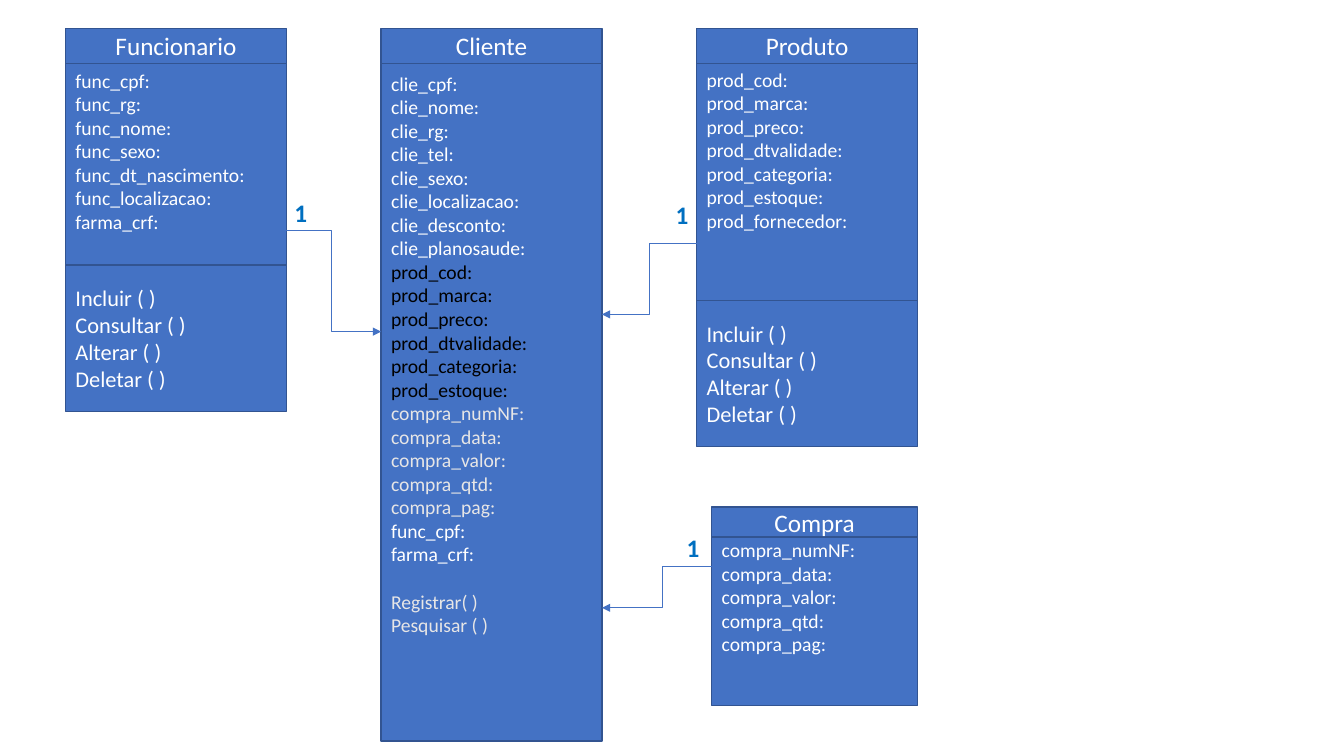
from dataclasses import dataclass

from lxml import etree
from pptx import Presentation
from pptx.dml.color import RGBColor
from pptx.enum.shapes import MSO_CONNECTOR, MSO_SHAPE
from pptx.enum.text import MSO_ANCHOR, PP_ALIGN
from pptx.oxml.ns import qn
from pptx.util import Inches, Pt

RECTANGLE, ELBOW = MSO_SHAPE.RECTANGLE, MSO_CONNECTOR.ELBOW
TOP, MIDDLE = MSO_ANCHOR.TOP, MSO_ANCHOR.MIDDLE
LEFT, CENTER = PP_ALIGN.LEFT, PP_ALIGN.CENTER

BLUE = RGBColor(0x44, 0x72, 0xC4)
BORDER = RGBColor(0x32, 0x54, 0x91)
LABEL_BLUE = RGBColor(0x00, 0x6F, 0xC0)
WHITE = RGBColor(0xFF, 0xFF, 0xFF)
BLACK = RGBColor(0, 0, 0)
GRAY = RGBColor(0xE7, 0xE6, 0xE6)

# Grid in inches: three equal columns, boxes hanging from a common top row
FONT = "Calibri"
COLUMN_LEFT, COLUMN_STEP, COLUMN_WIDTH = 0.65, 3.13, 2.19
TOP_ROW, HEADER_HEIGHT, METHODS_HEIGHT = 0.28, 0.35, 1.45
COMPRA_WIDTH = 2.04
LINE_HEIGHT = 17.1  # points, one line of 14 pt text


def column(index: int) -> float:
    return COLUMN_LEFT + index * COLUMN_STEP


def right_edge(index: int) -> float:
    return column(index) + COLUMN_WIDTH


COMPRA_LEFT = right_edge(2) - COMPRA_WIDTH


@dataclass(frozen=True)
class Group:
    """Lines of one colour, with an optional gap above."""
    lines: tuple[str, ...]
    color: RGBColor = WHITE
    gap: float = 0


@dataclass(frozen=True)
class ClassBox:
    name: str
    left: float
    fields_height: float
    fields_inset: float
    fields: tuple[Group, ...]
    methods: tuple[Group, ...] = ()
    top: float = TOP_ROW
    width: float = COLUMN_WIDTH
    header_height: float = HEADER_HEIGHT


@dataclass(frozen=True)
class Relation:
    start: tuple[float, float]
    end: tuple[float, float]
    label: tuple[float, float]
    bend: float = 0.5


FUNC = ("func_cpf:", "func_rg:", "func_nome:", "func_sexo:",
        "func_dt_nascimento:", "func_localizacao:", "farma_crf:")
CLIE = ("clie_cpf:", "clie_nome:", "clie_rg:", "clie_tel:", "clie_sexo:",
        "clie_localizacao:", "clie_desconto:", "clie_planosaude:")
PROD = ("prod_cod:", "prod_marca:", "prod_preco:", "prod_dtvalidade:",
        "prod_categoria:", "prod_estoque:")
COMPRA = ("compra_numNF:", "compra_data:", "compra_valor:",
          "compra_qtd:", "compra_pag:")
CRUD = (Group(("Incluir ( )", "Consultar ( )", "Alterar ( )", "Deletar ( )")),)

CLASSES = (
    ClassBox("Funcionario", column(0), 2.0, 0.05, (Group(FUNC),), CRUD),
    ClassBox("Cliente", column(1), 6.72, 0.08, (
        Group(CLIE),
        Group(PROD, BLACK),
        Group(COMPRA, GRAY),
        Group(("func_cpf:", "farma_crf:")),
        Group(("Registrar( )", "Pesquisar ( )"), GRAY, LINE_HEIGHT),
    )),
    ClassBox("Produto", column(2), 2.35, 0.04,
             (Group(PROD + ("prod_fornecedor:",)),), CRUD),
    ClassBox("Compra", COMPRA_LEFT, 1.67, 0.01, (Group(COMPRA),),
             top=5.03, width=COMPRA_WIDTH, header_height=0.3),
)

RELATIONS = (
    Relation((2.79, 2.29), (column(1), 3.29), (2.91, 1.95)),
    Relation((column(2), 2.41), (right_edge(1), 3.12), (6.69, 1.97)),
    Relation((COMPRA_LEFT, 5.62), (right_edge(1), 6.03), (6.8, 5.27), 0.45),
)


def write(frame, text: str, *, size: float, color: RGBColor = WHITE,
          bold: bool = False, align=LEFT, before: float = 0) -> None:
    """Add one formatted paragraph, using the empty first one if free."""
    first = frame.paragraphs[0]
    para = frame.add_paragraph() if first.runs else first
    para.alignment, para.space_before = align, Pt(before)
    span = para.add_run()
    span.text = text
    font = span.font
    font.name, font.size, font.bold = FONT, Pt(size), bold
    font.color.rgb = color


def draw_cell(page, left: float, top: float, width: float, height: float,
              groups: tuple[Group, ...], *, size: float, align=LEFT,
              anchor=MIDDLE, inset: float = 0.05) -> None:
    box = page.shapes.add_shape(RECTANGLE, Inches(left), Inches(top),
                                Inches(width), Inches(height))
    box.shadow.inherit = False
    box.fill.solid()
    box.fill.fore_color.rgb = BLUE
    box.line.color.rgb = BORDER
    box.line.width = Pt(1)
    frame = box.text_frame
    frame.word_wrap, frame.vertical_anchor = True, anchor
    frame.margin_top = Inches(inset)
    for group in groups:
        for index, text in enumerate(group.lines):
            write(frame, text, size=size, color=group.color, align=align,
                  before=0 if index else group.gap)


def draw_class(page, item: ClassBox) -> None:
    """Stack the header, the fields and, where present, the methods."""
    fields_top = item.top + item.header_height
    draw_cell(page, item.left, item.top, item.width, item.header_height,
              (Group((item.name,)),), size=18, align=CENTER)
    draw_cell(page, item.left, fields_top, item.width, item.fields_height,
              item.fields, size=14, anchor=TOP, inset=item.fields_inset)
    if item.methods:
        draw_cell(page, item.left, fields_top + item.fields_height, item.width,
                  METHODS_HEIGHT, item.methods, size=16)


def draw_relation(page, relation: Relation) -> None:
    ends = (Inches(value) for value in relation.start + relation.end)
    arrow = page.shapes.add_connector(ELBOW, *ends)
    arrow.line.color.rgb = BLUE
    arrow.line.width = Pt(0.5)
    properties = arrow.line._get_or_add_ln()
    etree.SubElement(properties, qn("a:tailEnd"), type="triangle")
    etree.SubElement(arrow._element.spPr, qn("a:effectLst"))
    guides = arrow._element.spPr.find(".//" + qn("a:avLst"))
    etree.SubElement(guides, qn("a:gd"), name="adj1",
                     fmla=f"val {round(relation.bend * 100000)}")


def draw_label(page, relation: Relation) -> None:
    left, top = relation.label
    box = page.shapes.add_textbox(Inches(left), Inches(top),
                                  Inches(0.15), Inches(0.32))
    frame = box.text_frame
    frame.word_wrap = True
    frame.margin_left = frame.margin_top = Inches(0.01)
    frame.margin_right = frame.margin_bottom = 0
    write(frame, "1", size=18, color=LABEL_BLUE, bold=True, before=1)


deck = Presentation()
deck.slide_width, deck.slide_height = Inches(13.33), Inches(7.5)
page = deck.slides.add_slide(deck.slide_layouts.get_by_name("Blank"))

# Class boxes
for item in CLASSES:
    draw_class(page, item)

# Relations and their multiplicities
for relation in RELATIONS:
    draw_relation(page, relation)
    draw_label(page, relation)

deck.save("out.pptx")
